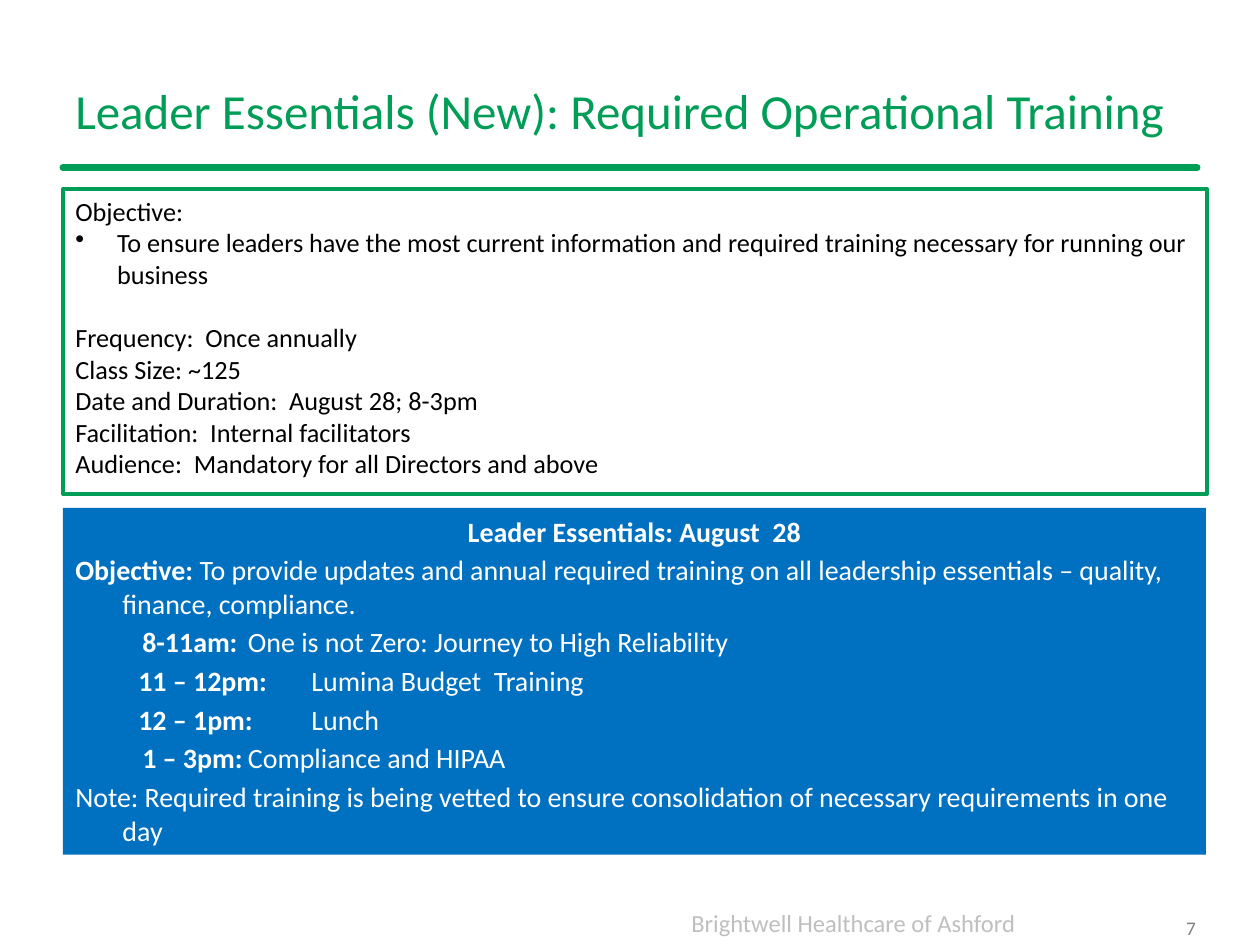
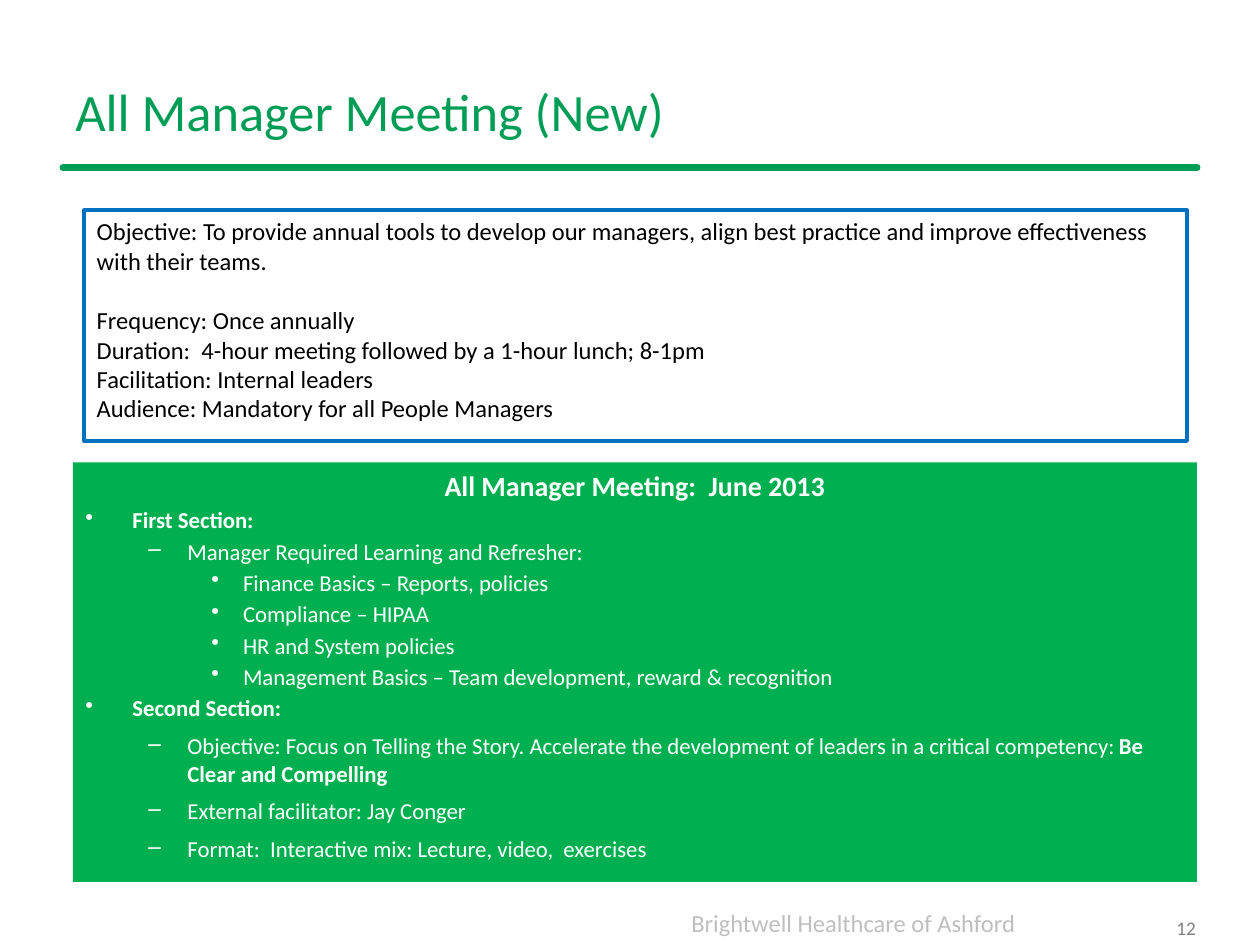
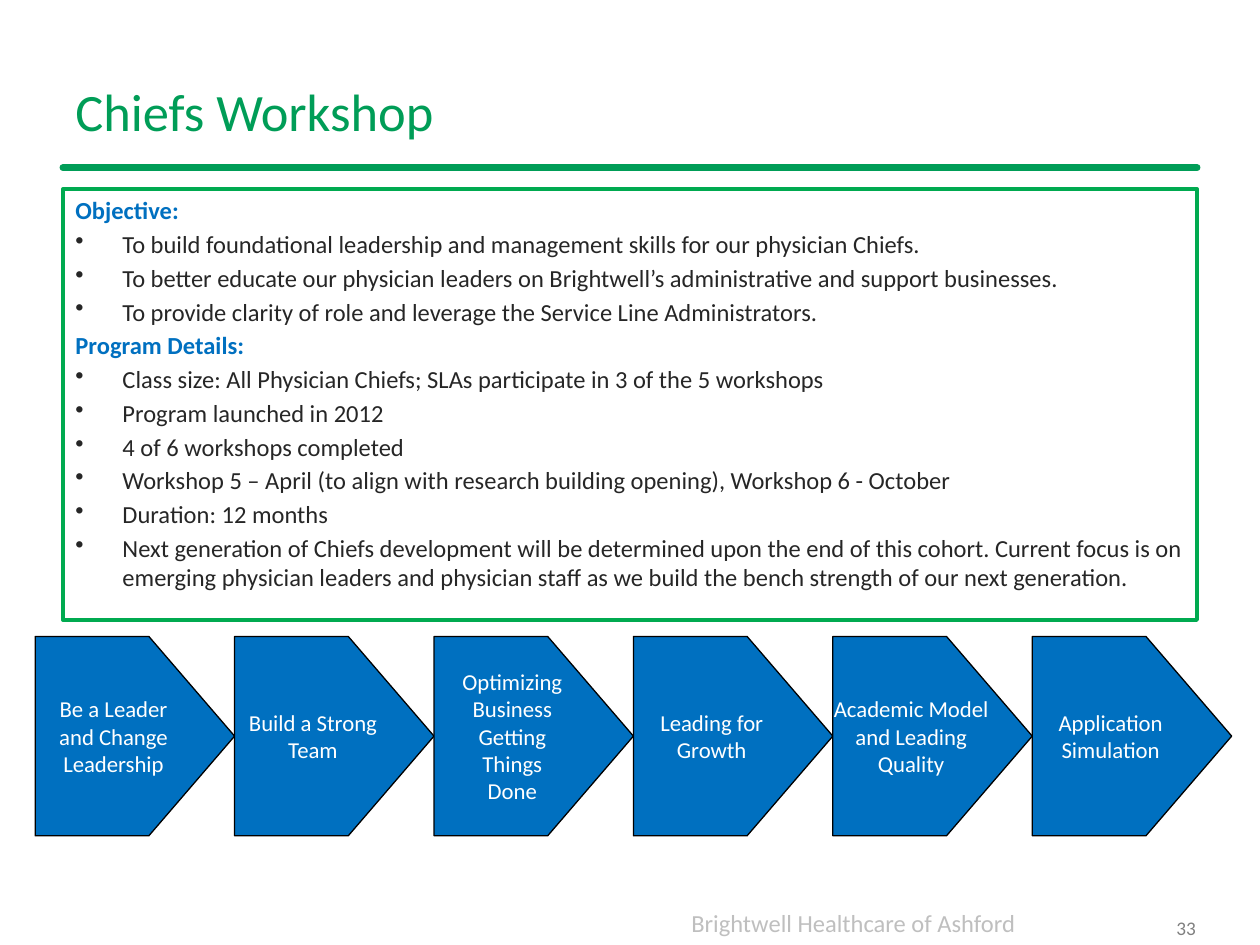
from dataclasses import dataclass, replace
from typing import Optional

from lxml import etree
from pptx import Presentation
from pptx.dml.color import RGBColor
from pptx.enum.shapes import MSO_CONNECTOR, MSO_SHAPE
from pptx.enum.text import MSO_ANCHOR, PP_ALIGN
from pptx.oxml.ns import qn
from pptx.util import Cm, Pt

LEFT, CENTER, RIGHT = PP_ALIGN.LEFT, PP_ALIGN.CENTER, PP_ALIGN.RIGHT
TOP, MIDDLE = MSO_ANCHOR.TOP, MSO_ANCHOR.MIDDLE
RECTANGLE, PENTAGON = MSO_SHAPE.RECTANGLE, MSO_SHAPE.PENTAGON
STRAIGHT = MSO_CONNECTOR.STRAIGHT

BRAND_GREEN = RGBColor(0x00, 0x9D, 0x57)
FRAME_GREEN = RGBColor(0x00, 0xAA, 0x50)
PANEL_GREEN = RGBColor(0x00, 0xB0, 0x50)
BLUE = RGBColor(0x00, 0x70, 0xC0)
WHITE = RGBColor(0xFF, 0xFF, 0xFF)
BLACK = RGBColor(0x00, 0x00, 0x00)
CHARCOAL = RGBColor(0x26, 0x26, 0x26)
GRAY = RGBColor(0x80, 0x80, 0x80)
LIGHT_GRAY = RGBColor(0xBF, 0xBF, 0xBF)
FONT = "Calibri"


@dataclass
class Style:
    size: float
    color: RGBColor
    bold: bool = False
    align: int = LEFT
    margin: float = 0
    hang: float = 0
    bullet: str = ""
    before: Optional[float] = 0


FOOTER = "Brightwell Healthcare of Ashford"
FOOTER_STYLE = Style(14, LIGHT_GRAY, align=RIGHT)
NUMBER_STYLE = Style(11, GRAY, align=RIGHT)
ARROW_STYLE = Style(13, WHITE, align=CENTER)

FACT = Style(15, BLACK)
FACT_BULLET = replace(FACT, margin=0.84, hang=0.84, bullet="•")
FACT_GAP = replace(FACT, before=18.3)
SMALL_FACT = replace(FACT, size=14)
SMALL_FACT_GAP = replace(SMALL_FACT, before=17)

AGENDA = Style(16, WHITE, margin=0.95, hang=0.95, before=2.9)
HEADING = replace(AGENDA, bold=True, align=CENTER)
OUTER_SLOT = replace(AGENDA, margin=3.48, hang=2.13)
INNER_SLOT = replace(AGENDA, margin=4.76, hang=3.49)

SECTION = replace(AGENDA, size=13, bold=True, bullet="•", before=2.3)
TOPIC = replace(SECTION, bold=False, margin=2.06, hang=0.79, bullet="–")
SPACED_TOPIC = replace(TOPIC, before=6)
DETAIL = replace(TOPIC, margin=3.18, hang=0.64, bullet="•")

LABEL = Style(14, BLUE, bold=True, margin=0.95, hang=0.95, before=2.5)
POINT = replace(LABEL, color=CHARCOAL, bold=False, bullet="•")

SLIDES = [
    {
        "title": "Leader Essentials (New): Required Operational Training",
        "title_size": 28,
        "number": 7,
        "panels": [
            {
                "at": (1.27, 3.81, 23.06, 6.15),
                "frame": BRAND_GREEN,
                "text": [
                    (FACT, "Objective:"),
                    (FACT_BULLET, "To ensure leaders have the most current information and "
                                  "required training necessary for running our business"),
                    (FACT_GAP, "Frequency:  Once annually"),
                    (FACT, "Class Size: ~125"),
                    (FACT, "Date and Duration:  August 28; 8-3pm"),
                    (FACT, "Facilitation:  Internal facilitators"),
                    (FACT, "Audience:  Mandatory for all Directors and above"),
                ],
            },
            {
                "at": (1.27, 10.24, 23.04, 6.99),
                "fill": BLUE,
                "text": [
                    (HEADING, "Leader Essentials: August  28"),
                    (AGENDA, [("Objective: ", True),
                              ("To provide updates and annual required training on all "
                               "leadership essentials – quality, finance, compliance.", False)]),
                    (OUTER_SLOT, [("8-11am:\t", True),
                                  ("One is not Zero: Journey to High Reliability", False)]),
                    (INNER_SLOT, [("11 – 12pm:\t", True), ("Lumina Budget  Training", False)]),
                    (INNER_SLOT, [("12 – 1pm:\t", True), ("Lunch", False)]),
                    (OUTER_SLOT, [("1 – 3pm:\t", True), ("Compliance and HIPAA", False)]),
                    (AGENDA, "Note: Required training is being vetted to ensure "
                             "consolidation of necessary requirements in one day"),
                ],
            },
        ],
    },
    {
        "title": "All Manager Meeting (New)",
        "title_size": 30,
        "number": 12,
        "panels": [
            {
                "at": (1.7, 4.24, 22.23, 4.65),
                "frame": BLUE,
                "text": [
                    (SMALL_FACT, "Objective: To provide annual tools to develop our managers, "
                                 "align best practice and improve effectiveness with their teams."),
                    (SMALL_FACT_GAP, "Frequency: Once annually"),
                    (SMALL_FACT, "Duration:  4-hour meeting followed by a 1-hour lunch; 8-1pm"),
                    (SMALL_FACT, "Facilitation: Internal leaders"),
                    (SMALL_FACT, "Audience: Mandatory for all People Managers"),
                ],
            },
            {
                "at": (1.47, 9.32, 22.66, 8.46),
                "fill": PANEL_GREEN,
                "text": [
                    (HEADING, "All Manager Meeting:  June 2013"),
                    (SECTION, "First Section:"),
                    (TOPIC, "Manager Required Learning and Refresher:"),
                    (DETAIL, "Finance Basics – Reports, policies"),
                    (DETAIL, "Compliance – HIPAA"),
                    (DETAIL, "HR and System policies"),
                    (DETAIL, "Management Basics – Team development, reward & recognition"),
                    (SECTION, "Second Section:"),
                    (SPACED_TOPIC, [("Objective: Focus on Telling the Story. Accelerate the "
                                     "development of leaders in a critical competency: ", False),
                                    ("Be Clear and Compelling", True)]),
                    (SPACED_TOPIC, "External facilitator: Jay Conger"),
                    (SPACED_TOPIC, "Format:  Interactive mix: Lecture, video,  exercises"),
                ],
            },
        ],
    },
    {
        "title": "Chiefs Workshop",
        "title_size": 30,
        "number": 33,
        "panels": [
            {
                "at": (1.27, 3.81, 22.86, 8.69),
                "frame": FRAME_GREEN,
                "text": [
                    (LABEL, "Objective:"),
                    (POINT, "To build foundational leadership and management skills for our "
                            "physician Chiefs."),
                    (POINT, "To better educate our physician leaders on Brightwell’s "
                            "administrative and support businesses."),
                    (POINT, "To provide clarity of role and leverage the Service Line "
                            "Administrators."),
                    (LABEL, "Program Details:"),
                    (POINT, "Class size: All Physician Chiefs; SLAs participate in 3 of the 5 "
                            "workshops"),
                    (POINT, "Program launched in 2012"),
                    (POINT, "4 of 6 workshops completed"),
                    (POINT, "Workshop 5 – April (to align with research building opening), "
                            "Workshop 6 - October"),
                    (POINT, "Duration: 12 months"),
                    (POINT, "Next generation of Chiefs development will be determined upon the "
                            "end of this cohort. Current focus is on emerging physician leaders "
                            "and physician staff as we build the bench strength of our next "
                            "generation."),
                ],
            },
        ],
        "workshops": [
            ["Be a Leader", "and Change", "Leadership"],
            ["Build a Strong", "Team"],
            ["Optimizing", "Business", "Getting", "Things", "Done"],
            ["Leading for", "Growth"],
            ["Academic Model", "and Leading", "Quality"],
            ["Application", "Simulation"],
        ],
    },
]

ARROW_LEFT, ARROW_TOP, ARROW_SIZE = 0.71, 12.83, 4.02


def place(at):
    return [Cm(length) for length in at]


def write(box, lines, anchor=TOP, wrap=True):
    frame = box.text_frame
    frame.word_wrap = wrap
    frame.vertical_anchor = anchor
    for index, (style, content) in enumerate(lines):
        para = frame.paragraphs[0] if index == 0 else frame.add_paragraph()
        para.alignment = style.align
        para.space_before = Pt(style.before)
        properties = para._p.get_or_add_pPr()
        properties.set("marL", str(Cm(style.margin)))
        properties.set("indent", str(-Cm(style.hang)))
        if style.bullet:
            etree.SubElement(properties, qn("a:buChar")).set("char", style.bullet)
        font = para.font
        font.name, font.size, font.bold = FONT, Pt(style.size), style.bold
        font.color.rgb = style.color
        if isinstance(content, str):
            para.add_run().text = content
            continue
        for words, bold in content:
            span = para.add_run()
            span.text = words
            span.font.bold = bold


def add_text(page, at, style, words, anchor=TOP):
    write(page.shapes.add_textbox(*place(at)), [(style, words)], anchor)


def add_box(page, kind, at, fill=None, frame=None, weight=2.25):
    box = page.shapes.add_shape(kind, *place(at))
    box.shadow.inherit = False
    if fill is None:
        box.fill.background()
    else:
        box.fill.solid()
        box.fill.fore_color.rgb = fill
    if frame is None:
        box.line.fill.background()
    else:
        box.line.color.rgb = frame
        box.line.width = Pt(weight)
    return box


def add_rule(page):
    rule = page.shapes.add_connector(STRAIGHT, *place((1.27, 3.38, 24.13, 3.38)))
    rule.line.color.rgb = BRAND_GREEN
    rule.line.width = Pt(4)
    rule.line._get_or_add_ln().set("cap", "rnd")
    etree.SubElement(rule._element.spPr, qn("a:effectLst"))


def add_workshops(page, workshops):
    for index, lines in enumerate(workshops):
        at = (ARROW_LEFT + index * ARROW_SIZE, ARROW_TOP, ARROW_SIZE, ARROW_SIZE)
        arrow = add_box(page, PENTAGON, at, BLUE, BLACK, 0.75)
        arrow.adjustments[0] = 0.43
        write(arrow, [(ARROW_STYLE, line) for line in lines], MIDDLE, wrap=False)


def add_page(deck, content):
    page = deck.slides.add_slide(deck.slide_layouts[6])
    add_text(page, (2.74, 18.19, 17.98, 0.86), FOOTER_STYLE, FOOTER)
    add_rule(page)
    title_style = Style(content["title_size"], BRAND_GREEN)
    add_text(page, (1.27, 0.85, 22.86, 2.74), title_style, content["title"], MIDDLE)
    for panel in content["panels"]:
        box = add_box(page, RECTANGLE, panel["at"], panel.get("fill"), panel.get("frame"))
        write(box, panel["text"])
    add_workshops(page, content.get("workshops", []))
    add_text(page, (23.29, 18.19, 1.07, 1.02), NUMBER_STYLE, str(content["number"]), MIDDLE)


def main():
    deck = Presentation()
    deck.slide_width, deck.slide_height = Cm(25.4), Cm(19.05)
    for content in SLIDES:
        add_page(deck, content)
    deck.save("out.pptx")


if __name__ == "__main__":
    main()
